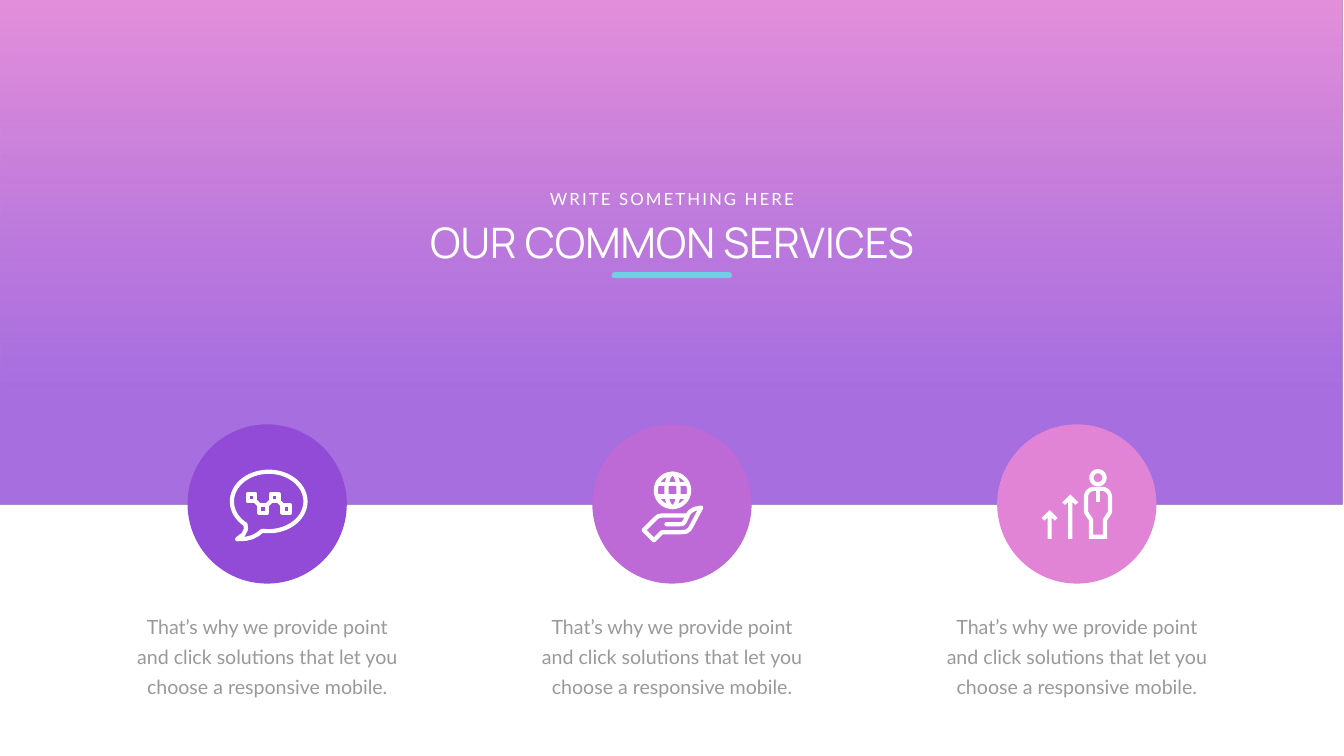
import math
from typing import NamedTuple

import pptx
import pptx.dml.color
import pptx.enum.shapes
import pptx.enum.text
import pptx.oxml
import pptx.oxml.ns
import pptx.util
from pptx.util import Inches

RGBColor = pptx.dml.color.RGBColor
MSO_SHAPE = pptx.enum.shapes.MSO_SHAPE
ALIGN = pptx.enum.text.PP_ALIGN
ANCHOR = pptx.enum.text.MSO_ANCHOR

WHITE = RGBColor(0xFF, 0xFF, 0xFF)
GRAY = RGBColor(0x99, 0x99, 0x99)
PINK = RGBColor(0xE1, 0x84, 0xD6)
ORCHID = RGBColor(0xBD, 0x6A, 0xD7)
VIOLET = RGBColor(0x91, 0x4B, 0xD7)
CYAN = RGBColor(0x6C, 0xD1, 0xE5)

SLIDE_W, SLIDE_H = 26.66, 15
CENTER = SLIDE_W / 2
PITCH = 8.03
BADGE_Y, BADGE_SIZE = 10, 3.16
BLURB_W = 5.59
BLURB = "That’s why we provide point and click solutions that let you choose a\u00a0responsive mobile."

Point = tuple[float, float]


class Contour(NamedTuple):
    points: list[Point]
    closed: bool = True


class Glyph(NamedTuple):
    contours: list[Contour]
    filled: bool = False
    join: str = "round"


class Service(NamedTuple):
    color: RGBColor
    icon: list[Glyph]


def arc(cx: float, cy: float, rx: float, ry: float, start: int = 0, end: int = 360) -> list[Point]:
    steps = max(2, abs(end - start) // 6)
    angles = [math.radians(start + (end - start) * i / steps) for i in range(steps + 1)]
    return [(cx + rx * math.cos(a), cy + ry * math.sin(a)) for a in angles]


def chat_icon() -> list[Glyph]:
    tail = [(-0.43, 0.4), (-0.42, 0.5), (-0.47, 0.6), (-0.6, 0.7),
            (-0.42, 0.69), (-0.3, 0.66), (-0.2, 0.61), (-0.11, 0.54)]
    bubble = Contour(arc(0.03, -0.05, 0.73, 0.59, 99, -230) + tail)
    nodes = [(-0.31 + 0.23 * i, -0.13 + 0.23 * (i % 2)) for i in range(4)]
    half = 0.075
    squares = [Contour([(x - half, y - half), (x + half, y - half),
                        (x + half, y + half), (x - half, y + half)]) for x, y in nodes]
    links = []
    for (x1, y1), (x2, y2) in zip(nodes, nodes[1:]):
        turn = half if y2 > y1 else -half
        links.append(Contour([(x1 + half, y1 + turn), (x2 - half, y2 - turn)], False))
    return [Glyph([bubble]), Glyph(squares + links)]


def globe_icon() -> list[Glyph]:
    palm = [(-0.56, 0.52), (-0.32, 0.28), (-0.27, 0.24), (-0.21, 0.23), (0.3, 0.23),
            (0.36, 0.15), (0.44, 0.1), (0.58, 0.07), (0.39, 0.43), (0.35, 0.5),
            (0.28, 0.55), (0.17, 0.56), (-0.2, 0.56), (-0.36, 0.72)]
    thumb = [(-0.11, 0.4), (0.17, 0.4), (0.22, 0.39), (0.25, 0.35), (0.32, 0.21)]
    globe = [Contour(arc(0.01, -0.27, r, 0.33)) for r in (0.33, 0.12)]
    parallels = [Contour([(-0.29, y), (0.31, y)], False) for y in (-0.39, -0.15)]
    return [Glyph([Contour(palm), Contour(thumb, False)]), Glyph(globe + parallels)]


def arrow(x: float, tip: float) -> Glyph:
    left = [(-0.16, 0.16), (-0.1, 0.21), (-0.04, 0.15)]
    stem = [(-0.04, 0.69 - tip), (0.04, 0.69 - tip)]
    right = [(-dx, dy) for dx, dy in reversed(left)]
    outline = [(x + dx, tip + dy) for dx, dy in [(0, 0)] + left + stem + right]
    return Glyph([Contour(outline)], filled=True)


def growth_icon() -> list[Glyph]:
    middle = 0.42
    side = [(0.24, 0.16), (0.14, 0.31), (0.14, 0.65)]
    body = (arc(middle - 0.08, -0.13, 0.16, 0.17, 180, 270)
            + arc(middle + 0.08, -0.13, 0.16, 0.17, 270, 360)
            + [(middle + dx, y) for dx, y in side]
            + [(middle - dx, y) for dx, y in reversed(side)])
    tie = Contour([(middle, -0.3), (middle, -0.04)], False)
    return [Glyph([Contour(body), tie], join="miter"),
            Glyph([Contour(arc(middle, -0.52, 0.13, 0.13))]),
            arrow(-0.13, -0.19), arrow(-0.54, 0.12)]


def add_solid(slide, preset, color: RGBColor, x: float, y: float, w: float, h: float):
    shape = slide.shapes.add_shape(preset, Inches(x), Inches(y), Inches(w), Inches(h))
    shape.shadow.inherit = False
    shape.fill.solid()
    shape.fill.fore_color.rgb = color
    shape.line.fill.background()
    return shape


def draw_glyph(slide, glyph: Glyph, cx: float, cy: float) -> None:
    builder = None
    for points, closed in glyph.contours:
        (x, y), *rest = [(Inches(cx + dx), Inches(cy + dy)) for dx, dy in points]
        if builder is None:
            builder = slide.shapes.build_freeform(x, y)
        else:
            builder.move_to(x, y)
        builder.add_line_segments(rest, close=closed)
    shape = builder.convert_to_shape()
    shape.shadow.inherit = False
    if glyph.filled:
        shape.fill.solid()
        shape.fill.fore_color.rgb = WHITE
        shape.line.fill.background()
        return
    shape.fill.background()
    shape.line.color.rgb = WHITE
    shape.line.width = pptx.util.Pt(6)
    line = shape.line._get_or_add_ln()
    line.set("cap", "rnd" if glyph.join == "round" else "flat")
    join = pptx.oxml.parse_xml(f'<a:{glyph.join} {pptx.oxml.ns.nsdecls("a")}/>')
    if glyph.join == "miter":
        join.set("lim", "800000")
    line.append(join)


def write(frame, text: str, font: str, size: int, color: RGBColor):
    paragraph = frame.paragraphs[0]
    paragraph.alignment = ALIGN.CENTER
    run = paragraph.add_run()
    run.text = text
    run.font.name = font
    run.font.size = pptx.util.Pt(size)
    run.font.color.rgb = color
    return paragraph, run


def add_hero(slide) -> None:
    hero = add_solid(slide, MSO_SHAPE.RECTANGLE, PINK, 0, 0, SLIDE_W, 10.03)
    hero.fill.gradient()
    hero.fill.gradient_angle = 270
    shades = [(0, PINK, 90), (0.78, VIOLET, 80)]
    for stop, (position, color, opacity) in zip(hero.fill.gradient_stops, shades):
        stop.position = position
        stop.color.rgb = color
        alpha = pptx.oxml.parse_xml(
            f'<a:alpha {pptx.oxml.ns.nsdecls("a")} val="{opacity * 1000}"/>')
        stop._gs[0].append(alpha)

    title = slide.shapes.title
    title.element.addprevious(hero.element)
    title.left, title.top = Inches(5.3), Inches(4.25)
    title.width, title.height = Inches(16.06), Inches(1.11)
    title.text_frame.auto_size = pptx.enum.text.MSO_AUTO_SIZE.NONE
    title.text_frame.vertical_anchor = ANCHOR.MIDDLE
    write(title.text_frame, "OUR COMMON SERVICES", "Manrope", 60, WHITE)

    kicker = slide.shapes.add_textbox(Inches(10.76), Inches(3.7), Inches(5.14), Inches(0.5))
    kicker.text_frame.word_wrap = True
    _, run = write(kicker.text_frame, "WRITE SOMETHING HERE", "Lato", 24, WHITE)
    run._r.get_or_add_rPr().set("spc", "300")

    underline = add_solid(slide, MSO_SHAPE.ROUNDED_RECTANGLE, CYAN, 12.13, 5.4, 2.39, 0.12)
    underline.adjustments[0] = 0.5


def add_service(slide, service: Service, cx: float) -> None:
    add_solid(slide, MSO_SHAPE.OVAL, service.color, cx - BADGE_SIZE / 2,
              BADGE_Y - BADGE_SIZE / 2, BADGE_SIZE, BADGE_SIZE)
    for glyph in service.icon:
        draw_glyph(slide, glyph, cx, BADGE_Y)
    blurb = slide.shapes.add_textbox(
        Inches(cx - BLURB_W / 2), Inches(12.02), Inches(BLURB_W), Inches(1.85))
    blurb.text_frame.word_wrap = True
    paragraph, _ = write(blurb.text_frame, BLURB, "Lato", 28, GRAY)
    paragraph.line_spacing = pptx.util.Pt(43)


def main() -> None:
    deck = pptx.Presentation()
    deck.slide_width, deck.slide_height = Inches(SLIDE_W), Inches(SLIDE_H)
    slide = deck.slides.add_slide(deck.slide_layouts[5])
    add_hero(slide)
    services = [Service(VIOLET, chat_icon()), Service(ORCHID, globe_icon()),
                Service(PINK, growth_icon())]
    for column, service in enumerate(services):
        add_service(slide, service, CENTER + (column - 1) * PITCH)
    deck.save("out.pptx")


if __name__ == "__main__":
    main()
